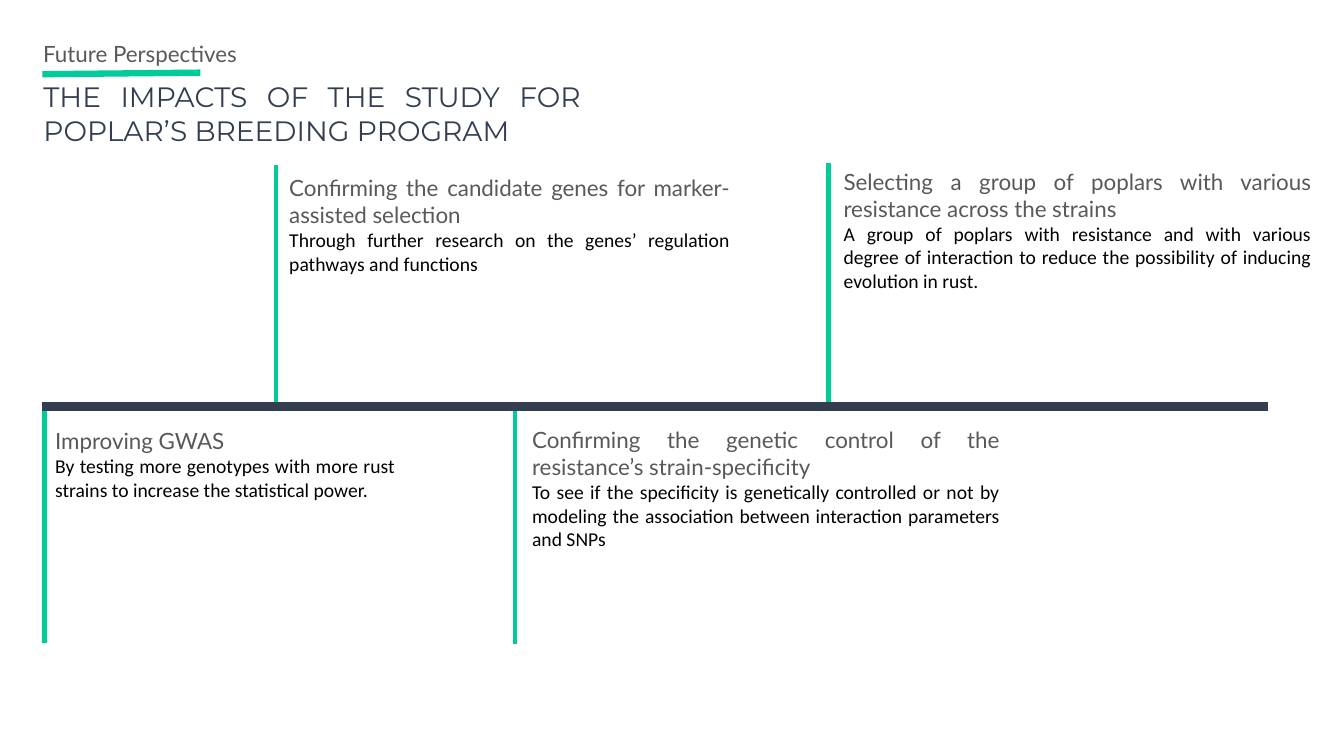
from lxml import etree
from pptx import Presentation
from pptx.dml.color import RGBColor
from pptx.enum.shapes import MSO_CONNECTOR
from pptx.enum.text import MSO_ANCHOR, MSO_AUTO_SIZE, PP_ALIGN
from pptx.oxml.ns import qn
from pptx.util import Cm, Pt

GREEN, NAVY, GREY, BLACK = "00CC99", "333F50", "595959", "000000"
STEM_LENGTH = 6.02

MILESTONES = [
    ((1.12, 10.19), (1.14, 10.64, 9.07, 2.13),
     "Improving GWAS",
     "By testing more genotypes with more rust strains to increase the "
     "statistical power."),
    ((6.96, 4.17), (7.04, 4.27, 11.61, 2.82),
     "Confirming the candidate genes for marker-assisted selection",
     "Through further research on the genes’ regulation pathways and functions"),
    ((12.98, 10.21), (13.16, 10.62, 12.29, 3.43),
     "Confirming the genetic control of the resistance’s strain-specificity",
     "To see if the specificity is genetically controlled or not by modeling "
     "the association between interaction parameters and SNPs"),
    ((20.88, 4.11), (21.01, 4.11, 12.29, 3.43),
     "Selecting a group of poplars with various resistance across the strains",
     "A group of poplars with resistance and with various degree of "
     "interaction to reduce the possibility of inducing evolution in rust."),
]


def rgb(color):
    return RGBColor.from_string(color)


def format_paragraph(p, font, size, color, align):
    p.alignment = align
    p.line_spacing = 1.0
    for r in p.runs:
        r.font.name = font
        r.font.size = Pt(size)
        r.font.color.rgb = rgb(color)


def prepare_frame(tf):
    tf.word_wrap = True
    tf.auto_size = MSO_AUTO_SIZE.SHAPE_TO_FIT_TEXT
    tf.vertical_anchor = MSO_ANCHOR.TOP


def add_text(s, box, lines, align):
    tf = s.shapes.add_textbox(*map(Cm, box)).text_frame
    prepare_frame(tf)
    tf.text = "\n".join(text for text, *_ in lines)
    for p, (_, font, size, color) in zip(tf.paragraphs, lines):
        format_paragraph(p, font, size, color, align)


def set_title(s, box, text):
    sp = s.shapes.title
    sp.left, sp.top, sp.width, sp.height = map(Cm, box)
    prepare_frame(sp.text_frame)
    sp.text_frame.text = text
    format_paragraph(sp.text_frame.paragraphs[0], "Montserrat", 20, NAVY,
                     PP_ALIGN.JUSTIFY)


def add_line(s, start, end, color, width):
    line = s.shapes.add_connector(MSO_CONNECTOR.STRAIGHT,
                                  *map(Cm, (*start, *end)))
    line.line.color.rgb = rgb(color)
    line.line.width = Pt(width)
    etree.SubElement(line._element.spPr, qn("a:effectLst"))


def add_milestone(s, stem, box, heading, detail):
    x, top = stem
    add_line(s, (x, top + STEM_LENGTH), (x, top), GREEN, 3)
    add_text(s, box, [(heading, "Lato", 16, GREY),
                      (detail, "Calibri", 14, BLACK)], PP_ALIGN.JUSTIFY)


def main():
    prs = Presentation()
    prs.slide_width, prs.slide_height = Cm(33.87), Cm(19.05)
    s = prs.slides.add_slide(prs.slide_layouts[5])

    add_text(s, (0.84, 0.89, 12.14, 0.94),
             [("Future Perspectives", "Lato", 16, GREY)], PP_ALIGN.LEFT)
    set_title(s, (0.84, 1.88, 14.05, 1.96),
              "THE IMPACTS OF THE STUDY FOR POPLAR’S BREEDING PROGRAM")
    add_line(s, (5.05, 1.83), (1.07, 1.87), GREEN, 4.5)
    for milestone in MILESTONES:
        add_milestone(s, *milestone)
    add_line(s, (1.07, 10.24), (31.95, 10.24), NAVY, 6)

    prs.save("out.pptx")


if __name__ == "__main__":
    main()
